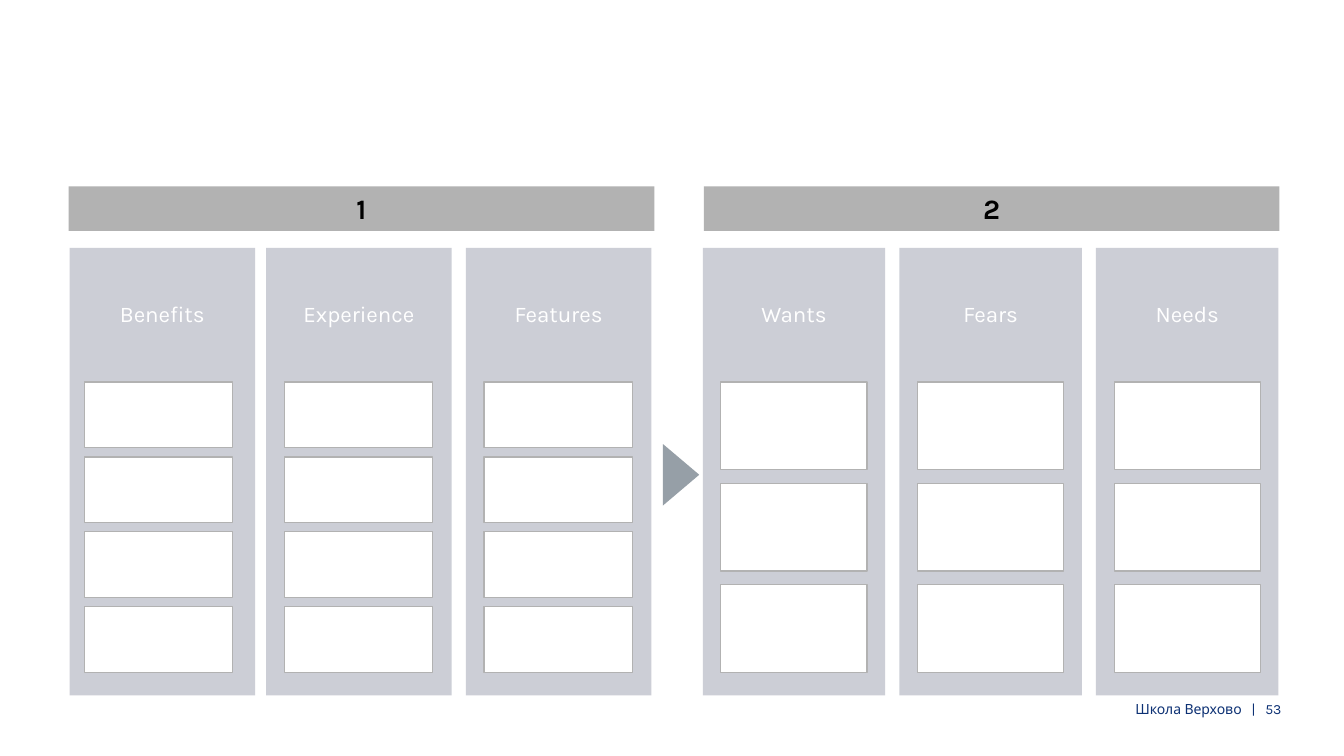
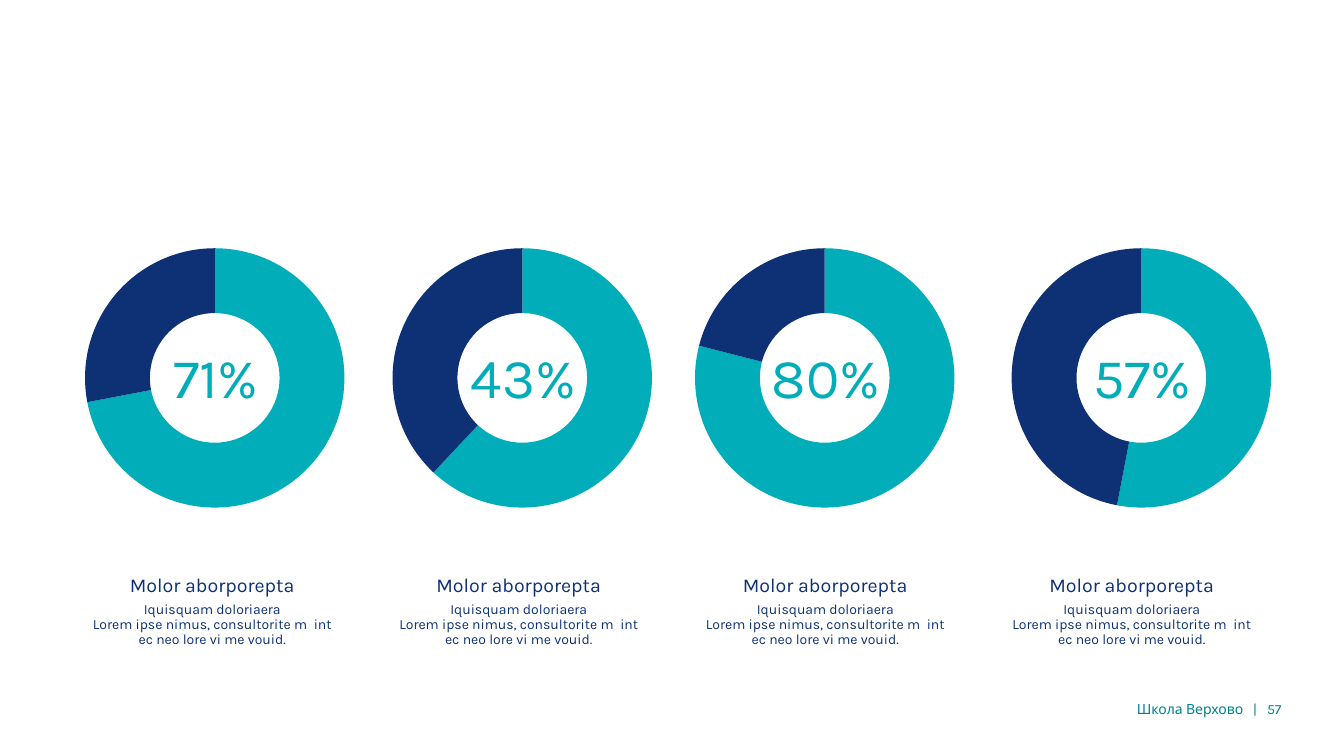
from copy import deepcopy

from lxml import etree
from pptx import Presentation
from pptx.chart.data import CategoryChartData
from pptx.dml.color import RGBColor
from pptx.enum.chart import XL_CHART_TYPE
from pptx.enum.shapes import MSO_SHAPE
from pptx.enum.text import MSO_ANCHOR, PP_ALIGN
from pptx.oxml.ns import qn
from pptx.util import Inches, Pt

FONT = "Karla"
NAVY = RGBColor(0x0D, 0x31, 0x74)
TEAL = RGBColor(0x00, 0xAD, 0xB9)
DARK_TEAL = RGBColor(0x00, 0x81, 0x8A)
GREY = RGBColor(0xB2, 0xB2, 0xB2)
SLATE = RGBColor(0x96, 0x9F, 0xA7)
PANEL = RGBColor(0xCC, 0xCE, 0xD6)
WHITE = RGBColor(0xFF, 0xFF, 0xFF)
BLACK = RGBColor(0x00, 0x00, 0x00)

RECT = MSO_SHAPE.RECTANGLE
TRIANGLE = MSO_SHAPE.ISOSCELES_TRIANGLE
DOUGHNUT = XL_CHART_TYPE.DOUGHNUT
CENTER, RIGHT = PP_ALIGN.CENTER, PP_ALIGN.RIGHT
TOP, MIDDLE = MSO_ANCHOR.TOP, MSO_ANCHOR.MIDDLE

SCHOOL = "Школа Верхово"

BOARDS = [
    {"title": "1", "bar": (0.68, 5.81), "width": 1.84,
     "columns": [("Benefits", 0.69, 0.84), ("Experience", 2.64, 2.82), ("Features", 4.62, 4.8)],
     "card": (1.47, 0.65), "rows": 4},
    {"title": "2", "bar": (6.98, 5.71), "width": 1.81,
     "columns": [("Wants", 6.97, 7.15), ("Fears", 8.92, 9.1), ("Needs", 10.87, 11.05)],
     "card": (1.45, 0.87), "rows": 3},
]
COLUMN_TOP, COLUMN_HEIGHT = 2.46, 4.44
CARDS_TOP, CARDS_BOTTOM = 3.79, 6.67

RINGS = [
    ("71%", 0.03, (72, 28)),
    ("43%", 3.08, (62, 38)),
    ("80%", 6.08, (79, 21)),
    ("57%", 9.22, (53, 47)),
]
RING_TOP, RING_WIDTH, RING_HEIGHT = 2.32, 4.2, 2.86
RING_AREA = {"x": 0.19, "y": 0.05, "w": 0.62, "h": 0.9}
PERCENT_WIDTH = 1.12
CAPTION_LEFT, CAPTION_STEP = 0.89, 3.04
CAPTION_TITLE = "Molor aborporepta"
CAPTION_BODY = "Iquisquam doloriaera\nLorem ipse nimus, consultorite m  int ec neo lore vi me vouid."


def write(p, text, size, color, bold=False, align=CENTER, spacing=None, before=0):
    p.text = text
    p.alignment = align
    p.space_before = Pt(before)
    if spacing:
        p.line_spacing = spacing
    for r in p.runs:
        r.font.name = FONT
        r.font.size = Pt(size)
        r.font.bold = bold
        r.font.color.rgb = color
    for br in p._p.findall(qn("a:br")):
        br.append(deepcopy(p.runs[0]._r.rPr))


def add_box(shapes, x, y, w, h, fill, line=None, kind=RECT):
    sp = shapes.add_shape(kind, Inches(x), Inches(y), Inches(w), Inches(h))
    sp.shadow.inherit = False
    sp.fill.solid()
    sp.fill.fore_color.rgb = fill
    if line is None:
        sp.line.fill.background()
    else:
        sp.line.color.rgb = line
        sp.line.width = Pt(0.85)
    return sp


def add_text(shapes, x, y, w, h, paragraphs, anchor=TOP, insets=(0, 0, 0, 0)):
    sp = shapes.add_textbox(Inches(x), Inches(y), Inches(w), Inches(h))
    tf = sp.text_frame
    tf.word_wrap = True
    tf.vertical_anchor = anchor
    tf.margin_left, tf.margin_top, tf.margin_right, tf.margin_bottom = map(Inches, insets)
    for i, (text, style) in enumerate(paragraphs):
        write(tf.add_paragraph() if i else tf.paragraphs[0], text, **style)


def add_slide(prs, number, footer_color):
    s = prs.slides.add_slide(prs.slide_layouts[6])
    footer = f"{SCHOOL}   |   {number}"
    add_text(s.shapes, 10.07, 6.95, 2.64, 0.4,
             [(footer, {"size": 10, "color": footer_color, "align": RIGHT})])
    return s


def add_board(s, board):
    bar_left, bar_width = board["bar"]
    bar = add_box(s.shapes, bar_left, 1.85, bar_width, 0.44, GREY)
    bar.text_frame.vertical_anchor = MIDDLE
    write(bar.text_frame.paragraphs[0], board["title"], 20, BLACK, bold=True)

    card_width, card_height = board["card"]
    step = (CARDS_BOTTOM - CARDS_TOP - card_height) / (board["rows"] - 1)
    group = s.shapes.add_group_shape().shapes
    for name, left, card_left in board["columns"]:
        add_box(group, left, COLUMN_TOP, board["width"], COLUMN_HEIGHT, PANEL)
        add_text(group, left, COLUMN_TOP, board["width"], CARDS_TOP - COLUMN_TOP,
                 [(name, {"size": 16, "color": WHITE, "spacing": 0.9})],
                 anchor=MIDDLE, insets=(0.07,) * 4)
        for row in range(board["rows"]):
            add_box(group, card_left, CARDS_TOP + row * step, card_width, card_height, WHITE, GREY)


def add_ring(s, left, values):
    data = CategoryChartData()
    data.categories = ["1", "2"]
    data.add_series("Series 1", values)
    chart = s.shapes.add_chart(DOUGHNUT, Inches(left), Inches(RING_TOP), Inches(RING_WIDTH),
                               Inches(RING_HEIGHT), data).chart
    chart.has_title = False
    chart.has_legend = False
    chart.font.name = FONT
    chart.font.size = Pt(10)
    chart.font.color.rgb = WHITE
    plot = chart.plots[0]
    plot.vary_by_categories = True
    for i, color in enumerate((TEAL, NAVY)):
        fmt = plot.series[0].points[i].format
        fmt.fill.solid()
        fmt.fill.fore_color.rgb = color
        fmt.line.fill.background()

    area = chart._chartSpace.find(".//" + qn("c:plotArea"))
    for old in area.findall(qn("c:layout")):
        area.remove(old)
    layout = etree.Element(qn("c:layout"))
    manual = etree.SubElement(layout, qn("c:manualLayout"))
    settings = {"layoutTarget": "inner", "xMode": "edge", "yMode": "edge", **RING_AREA}
    for tag, val in settings.items():
        etree.SubElement(manual, qn("c:" + tag)).set("val", str(val))
    area.insert(0, layout)


def build_boards(prs):
    s = add_slide(prs, 53, NAVY)
    for board in BOARDS:
        add_board(s, board)
    arrow = add_box(s.shapes, 6.45, 4.53, 0.61, 0.36, SLATE, kind=TRIANGLE)
    arrow.rotation = 90


def build_rings(prs):
    s = add_slide(prs, 57, DARK_TEAL)
    for i, (percent, left, values) in enumerate(RINGS):
        add_ring(s, left, values)
        add_text(s.shapes, left + (RING_WIDTH - PERCENT_WIDTH) / 2 + 0.01, 3.39, PERCENT_WIDTH, 0.68,
                 [(percent, {"size": 40, "color": TEAL, "before": 0.6})],
                 insets=(0, 0.01, 0, 0))
        add_text(s.shapes, CAPTION_LEFT + i * CAPTION_STEP, 5.61, 2.43, 0.83,
                 [(CAPTION_TITLE, {"size": 14, "color": NAVY, "spacing": 0.9, "before": 7.3}),
                  (CAPTION_BODY, {"size": 10, "color": NAVY, "spacing": 0.9, "before": 3.8})],
                 insets=(0, 0.1, 0, 0))


def main():
    prs = Presentation()
    prs.slide_width = Inches(13.33)
    prs.slide_height = Inches(7.5)
    build_boards(prs)
    build_rings(prs)
    prs.save("out.pptx")


if __name__ == "__main__":
    main()
